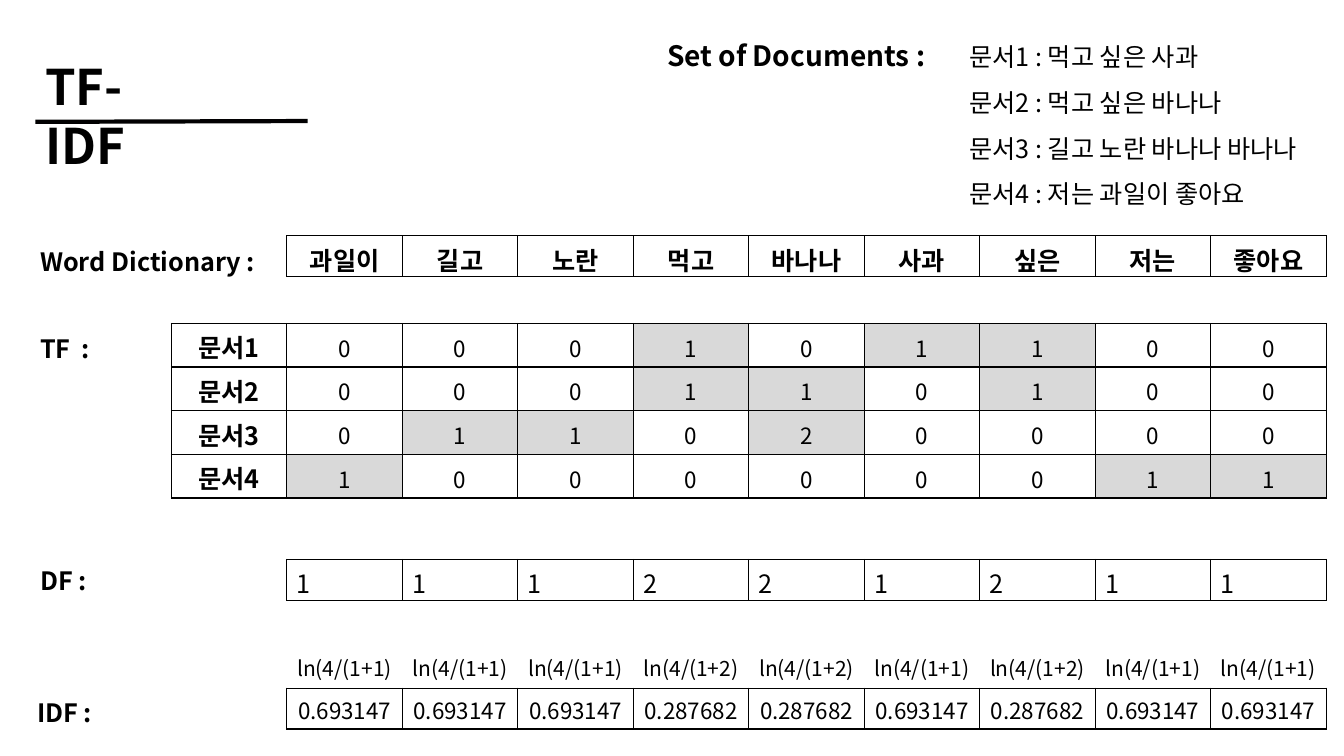
from lxml import etree
from pptx import Presentation
from pptx.dml.color import RGBColor
from pptx.enum.shapes import MSO_CONNECTOR
from pptx.enum.text import MSO_ANCHOR, MSO_AUTO_SIZE, PP_ALIGN
from pptx.oxml.ns import qn
from pptx.util import Cm, Pt

LINE = MSO_CONNECTOR.STRAIGHT
TOP, MID = MSO_ANCHOR.TOP, MSO_ANCHOR.MIDDLE
GROW = MSO_AUTO_SIZE.SHAPE_TO_FIT_TEXT
LEFT, CENTER, EVEN = PP_ALIGN.LEFT, PP_ALIGN.CENTER, PP_ALIGN.JUSTIFY

FACE = "Noto Sans CJK KR"
BLACK, GREY, INK = "000000", "D9D9D9", "010001"
PLAIN = "{2D5ABB26-0587-4C30-8999-92F81FD0307C}"  # table style without grid
SIDES = "LRTB"
GRID_X, COL_W, ROW_H = 4.32, 2.91, 1.03

WORDS = ["과일이", "길고", "노란", "먹고", "바나나", "사과", "싶은", "저는", "좋아요"]
DOCS = ["먹고 싶은 사과", "먹고 싶은 바나나", "길고 노란 바나나 바나나", "저는 과일이 좋아요"]
DF = [1, 1, 1, 2, 2, 1, 2, 1, 1]
LOGS = {1: "0.693147", 2: "0.287682"}

HEAD = {"size": Pt(18), "bold": True}
BODY = {"size": Pt(18), "bold": False}
COUNT = {"size": Pt(16), "bold": False}
RATIO = {"size": Pt(15), "bold": False}
PADS = {"margin_left": Cm(0.3), "margin_right": Cm(0.3),
        "margin_top": Cm(0.2), "margin_bottom": Cm(0.2)}


def color(code):
    return RGBColor.from_string(code)


def apply(item, form):
    for name, value in form.items():
        setattr(item, name, value)


def add_run(para, text, form):
    run = para.add_run()
    run.text = text
    apply(run.font, {"name": FACE, **form})
    run.font.color.rgb = color(BLACK)
    # East Asian typeface
    etree.SubElement(run.font._element, qn("a:ea"), typeface=FACE)


def add_box(slide, x, y, w, h, anchor=TOP):
    frame = slide.shapes.add_textbox(Cm(x), Cm(y), Cm(w), Cm(h)).text_frame
    apply(frame, {"word_wrap": True, "auto_size": GROW, "vertical_anchor": anchor})
    return frame


def add_label(slide, text, x, y, w, anchor=MID):
    para = add_box(slide, x, y, w, 1.27, anchor).paragraphs[0]
    para.line_spacing = 1.5
    add_run(para, text, HEAD)


def add_rule(slide, x1, y1, x2, y2):
    rule = slide.shapes.add_connector(LINE, Cm(x1), Cm(y1), Cm(x2), Cm(y2))
    rule.line.color.rgb = color(INK)
    rule.line.width = Pt(3)
    etree.SubElement(rule.element.spPr, qn("a:effectLst"))


def add_docs(slide):
    frame = add_box(slide, 16.56, 0.43, 17.53, 4.85)
    inset = Cm(7.62)
    for num, text in enumerate(DOCS, 1):
        para = frame.paragraphs[0] if num == 1 else frame.add_paragraph()
        para.line_spacing = 1.5
        # The heading hangs left of the document list
        props = para._p.get_or_add_pPr()
        props.set("marL", str(inset))
        props.set("indent", str(-inset if num == 1 else 0))
        if num == 1:
            add_run(para, "Set of Documents : \t", {"size": Pt(20), "bold": True})
        add_run(para, f"문서{num} : {text}", BODY)


def add_edges(cell, sides):
    props = cell._tc.get_or_add_tcPr()
    for spot, side in enumerate(SIDES):
        edge = etree.Element(qn(f"a:ln{side}"), w=str(Pt(1)))
        if side in sides:
            fill = etree.SubElement(edge, qn("a:solidFill"))
            etree.SubElement(fill, qn("a:srgbClr"), val=BLACK)
        else:
            etree.SubElement(edge, qn("a:noFill"))
        props.insert(spot, edge)


def fill_cell(cell, text, form, align, sides=SIDES, shade=None, layout=None):
    apply(cell, layout or {})
    if shade:
        cell.fill.solid()
        cell.fill.fore_color.rgb = color(shade)
    else:
        cell.fill.background()
    if text:
        para = cell.text_frame.paragraphs[0]
        para.alignment = align
        add_run(para, text, form)
    add_edges(cell, sides)


def add_grid(slide, y, rows, high=ROW_H):
    cols = len(WORDS) + 1
    table = slide.shapes.add_table(rows, cols, Cm(GRID_X), Cm(y),
                                   Cm(COL_W * cols), Cm(high * rows)).table
    apply(table, {"first_row": False, "horz_banding": False})
    table._tbl.tblPr.find(qn("a:tableStyleId")).text = PLAIN
    for col in table.columns:
        col.width = Cm(COL_W)
    for row in table.rows:
        row.height = Cm(high)
    return table


def fill_row(table, row, texts, form, align=CENTER, sides=SIDES, lead="R"):
    fill_cell(table.cell(row, 0), "", form, LEFT, lead)
    for col, text in enumerate(texts, 1):
        fill_cell(table.cell(row, col), str(text), form, align, sides)


def add_counts(slide):
    table = add_grid(slide, 8.15, len(DOCS), 1.1)
    for row, doc in enumerate(DOCS):
        fill_cell(table.cell(row, 0), f"문서{row + 1}", HEAD, CENTER,
                  layout={"vertical_anchor": MID})
        for col, word in enumerate(WORDS, 1):
            count = doc.split().count(word)
            fill_cell(table.cell(row, col), str(count), COUNT, CENTER,
                      shade=GREY if count else None,
                      layout={"vertical_anchor": MID, **PADS})


def main():
    deck = Presentation()
    apply(deck, {"slide_width": Cm(33.87), "slide_height": Cm(19.05)})
    slide = deck.slides.add_slide(deck.slide_layouts[6])

    # Title and documents
    title = add_box(slide, 0.89, 1.3, 4.39, 1.75)
    add_run(title.paragraphs[0], "TF-IDF", {"size": Pt(35), "bold": True})
    add_rule(slide, 0.89, 3.07, 7.75, 3.05)
    add_docs(slide)

    # Word dictionary
    add_label(slide, "Word Dictionary :", 0.76, 5.69, 6.2, TOP)
    fill_row(add_grid(slide, 5.94, 1), 0, WORDS, HEAD)

    # Term counts
    add_label(slide, "TF  :", 0.76, 7.95, 2.08)
    add_counts(slide)

    # Document counts
    add_label(slide, "DF :", 0.76, 13.79, 1.96)
    fill_row(add_grid(slide, 14.1, 1), 0, DF, BODY, EVEN)

    # Inverse document frequency
    add_label(slide, "IDF :", 0.69, 17.12, 2.16)
    table = add_grid(slide, 16.31, 2)
    fill_row(table, 0, [f"ln(4/(1+{n})" for n in DF], RATIO, sides="B", lead="")
    fill_row(table, 1, [LOGS[n] for n in DF], COUNT)

    deck.save("out.pptx")


if __name__ == "__main__":
    main()
